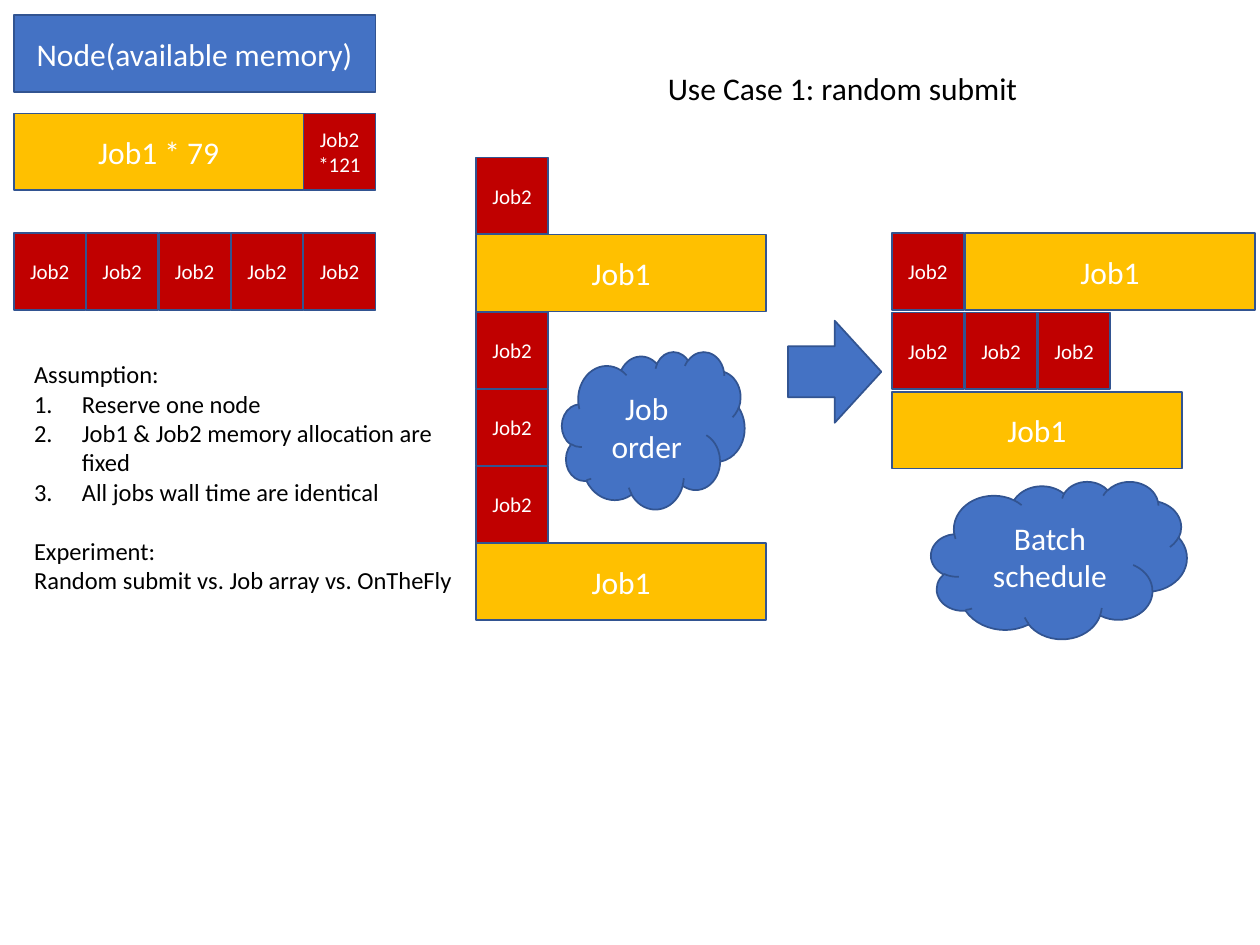
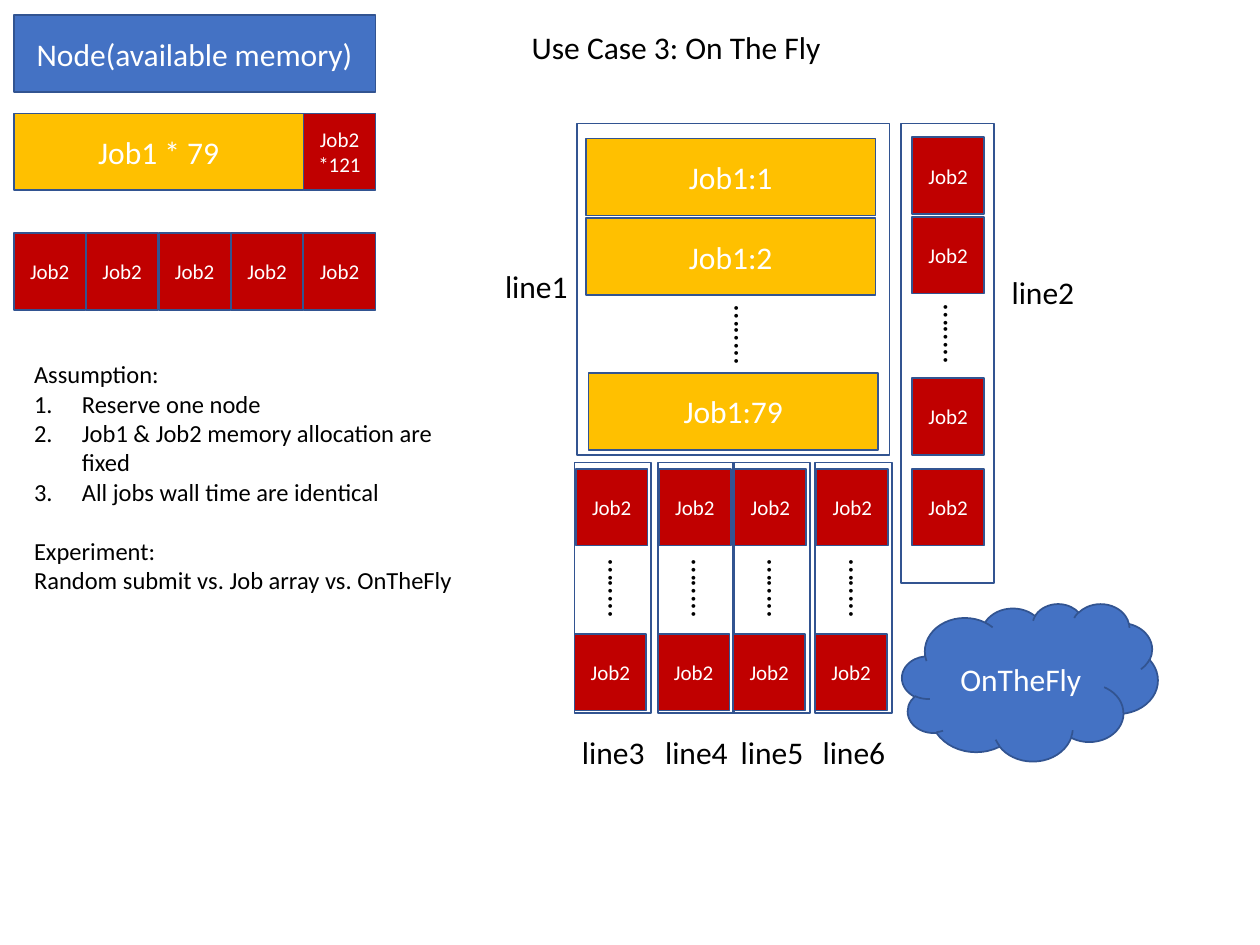
from pptx import Presentation
from pptx.dml.color import RGBColor
from pptx.enum.shapes import MSO_SHAPE as SHAPE
from pptx.enum.text import MSO_ANCHOR as ANCHOR, MSO_AUTO_SIZE as FIT, PP_ALIGN as ALIGN
from pptx.util import Inches, Pt
from lxml import etree

BLUE = RGBColor(0x44, 0x72, 0xC4)
GOLD = RGBColor(0xFF, 0xC0, 0x00)
RED = RGBColor(0xC0, 0x00, 0x00)
EDGE = RGBColor(0x32, 0x54, 0x91)
WHITE = RGBColor(0xFF, 0xFF, 0xFF)
BLACK = RGBColor(0, 0, 0)
NS = "http://schemas.openxmlformats.org/drawingml/2006/main"

# Content: (text, kind of paragraph)
NOTES = [
    ("Assumption:", "plain"),
    ("Reserve one node", "number"),
    ("Job1 & Job2 memory allocation are fixed", "number"),
    ("All jobs wall time are identical", "number"),
    ("Experiment:", "gap"),
    ("Random submit vs. Job array vs. OnTheFly", "plain"),
]
ORDER = ["Job2", "Job1", "Job2", "Job2", "Job2", "Job1"]
SCHEDULE = [["Job2", "Job1"], ["Job2", "Job2", "Job2"], ["Job1"]]
JOB1_ROWS = [("Job1:1", 4.65, 1.1), ("Job1:2", 4.65, 1.73), ("Job1:79", 4.67, 2.96)]
LINE2_TOPS = [1.09, 1.72, 3, 3.72]
LANES = [("line3", 4.56), ("line4", 5.22), ("line5", 5.82), ("line6", 6.47)]
DOTS = "…….."

# Job sizes: width, fill, text size
HEIGHT = 0.61
JOBS = {"Job1": (2.3, GOLD, 18), "Job2": (0.57, RED, 12)}


def style(p, size, color, align):
    p.alignment = align
    font = {"name": "Calibri", "size": Pt(size), "bold": False}
    for r in p.runs:
        for key, value in font.items():
            setattr(r.font, key, value)
        r.font.color.rgb = color


def place(sp, *box):
    for key, value in zip(("left", "top", "width", "height"), box):
        setattr(sp, key, Inches(value))


def shape(s, kind, box, fill=None, text="", size=18):
    sp = s.shapes.add_shape(kind, *map(Inches, box))
    sp.shadow.inherit = False
    sp.line.color.rgb, sp.line.width = EDGE, Pt(1)
    if fill is None:
        sp.fill.background()
    else:
        sp.fill.solid()
        sp.fill.fore_color.rgb = fill
    if text:
        tf = sp.text_frame
        tf.text, tf.vertical_anchor = text, ANCHOR.MIDDLE
        for p in tf.paragraphs:
            style(p, size, WHITE, ALIGN.CENTER)
    return sp


def job(s, text, x, y):
    """Draw a job block and return its width."""
    width, fill, size = JOBS[text[:4]]
    shape(s, SHAPE.RECTANGLE, (x, y, width, HEIGHT), fill, text, size)
    return width


def label(s, text, x, y, width=0.71, turn=0):
    sp = s.shapes.add_textbox(*map(Inches, (x, y, width, 0.4)))
    sp.rotation = turn
    sp.text_frame.word_wrap = False
    sp.text_frame.text = text
    style(sp.text_frame.paragraphs[0], 18, BLACK, ALIGN.LEFT)


def dots(s, x, y):
    label(s, DOTS, x, y, 0.68, 90)


def notes(sp):
    place(sp, 0.17, 2.8, 3.61, 1.99)
    tf = sp.text_frame
    tf.text = "\n".join(text for text, kind in NOTES)
    tf.auto_size, tf.word_wrap = FIT.NONE, True
    for p, (text, kind) in zip(tf.paragraphs, NOTES):
        style(p, 14, BLACK, ALIGN.LEFT)
        p.space_before = Pt(17 if kind == "gap" else 0)
        indent = Inches(0.38) if kind == "number" else 0
        pPr = p._p.get_or_add_pPr()
        pPr.set("marL", str(indent))
        pPr.set("indent", str(-indent))
        if indent:
            etree.SubElement(pPr, f"{{{NS}}}buAutoNum", type="arabicPeriod")
        else:
            etree.SubElement(pPr, f"{{{NS}}}buNone")


def base_slide(title, x, y, width):
    """Title, node memory legend and notes, as every slide has them."""
    s = prs.slides.add_slide(prs.slide_layouts[1])
    place(s.shapes.title, x, y, width, 0.4)
    tf = s.shapes.title.text_frame
    tf.text, tf.vertical_anchor = title, ANCHOR.TOP
    tf.auto_size, tf.word_wrap = FIT.NONE, False
    style(tf.paragraphs[0], 18, BLACK, ALIGN.LEFT)
    notes(s.placeholders[1])
    shape(s, SHAPE.RECTANGLE, (0.11, 0.12, 2.87, HEIGHT), BLUE, "Node(available memory)")
    job(s, "Job1 * 79", 0.11, 0.9)
    job(s, "Job2*121", 2.41, 0.9)
    for i in range(5):
        job(s, "Job2", 0.11 + i * 0.575, 1.85)
    return s


prs = Presentation()
prs.slide_width, prs.slide_height = Inches(10), Inches(7.5)

# Slide 1: submit order on the left, resulting schedule on the right
s = base_slide("Use Case 1: random submit", 5.2, 0.5, 3.01)
for i, name in enumerate(ORDER):
    job(s, name, 3.78, 1.25 + i * 0.612)
arrow = shape(s, SHAPE.DOWN_ARROW, (6.22, 2.58, 0.81, 0.74), BLUE)
arrow.rotation = 270
for i, row in enumerate(SCHEDULE):
    x = 7.08
    for name in row:
        x += job(s, name, x, 1.85 + i * 0.63) + 0.01
shape(s, SHAPE.CLOUD, (4.46, 2.79, 1.45, 1.25), BLUE, "Job order")
shape(s, SHAPE.CLOUD, (7.39, 3.82, 2.03, 1.25), BLUE, "Batch\nschedule")

# Slide 2: line1 holds Job1, the other lines hold Job2
s = base_slide("Use Case 3: On The Fly", 4.12, 0.17, 2.52)
for row in JOB1_ROWS:
    job(s, *row)
for y in LINE2_TOPS:
    job(s, "Job2", 7.24, y)
for box in ((4.58, 0.98, 2.48, 2.63), (7.15, 0.98, 0.74, 3.65)):
    shape(s, SHAPE.RECTANGLE, box)
dots(s, 5.59, 2.47)
dots(s, 7.25, 2.46)
label(s, "line1", 3.91, 2.07)
label(s, "line2", 7.93, 2.12)
for name, x in LANES:
    job(s, "Job2", x + 0.01, 3.72)
    shape(s, SHAPE.RECTANGLE, (x, 3.67, 0.61, 1.99))
    job(s, "Job2", x, 5.03)
    dots(s, x + 0.03, 4.48)
    label(s, name, x - 0.04, 5.77)
shape(s, SHAPE.CLOUD, (7.16, 4.79, 2.03, 1.25), BLUE, "OnTheFly")

prs.save("out.pptx")
